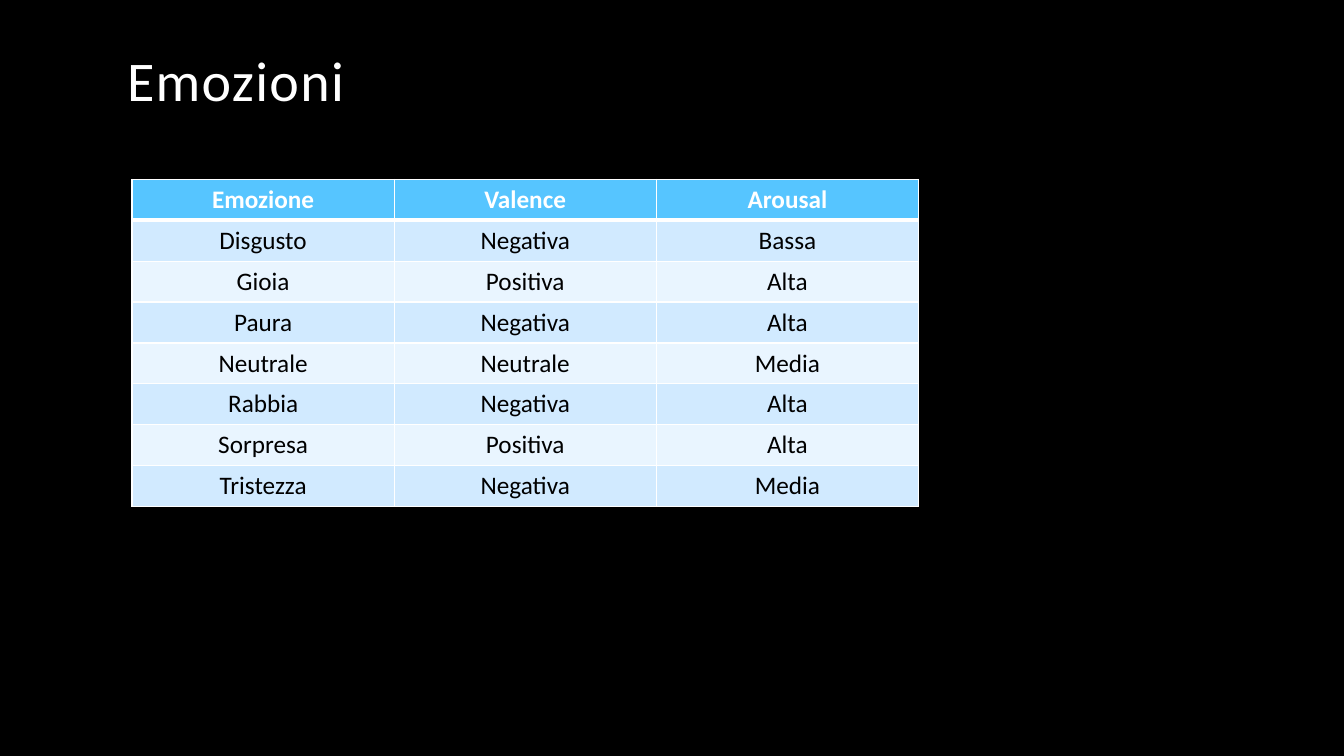
"""Build the slide that classifies emotions by valence and arousal."""
from dataclasses import dataclass

from lxml.etree import SubElement
from pptx import Presentation
from pptx.dml.color import RGBColor
from pptx.enum.text import MSO_ANCHOR as Anchor, PP_ALIGN as Align
from pptx.oxml.ns import qn
from pptx.util import Inches, Pt

TITLE = "Emozioni"
EMOTIONS = [
    ("Emozione", "Valence", "Arousal"),
    ("Disgusto", "Negativa", "Bassa"),
    ("Gioia", "Positiva", "Alta"),
    ("Paura", "Negativa", "Alta"),
    ("Neutrale", "Neutrale", "Media"),
    ("Rabbia", "Negativa", "Alta"),
    ("Sorpresa", "Positiva", "Alta"),
    ("Tristezza", "Negativa", "Media"),
]


@dataclass(frozen=True)
class Theme:
    font: str = "Calibri"
    background: str = "000000"
    light: str = "FFFFFF"
    dark: str = "000000"
    header: str = "56C5FF"
    bands: tuple = ("E9F5FF", "D1EAFF")
    title_size: int = 40
    cell_size: int = 18
    thin: int = 1
    thick: int = 3


THEME = Theme()


def write(frame, text, *, size, color, bold=False, align=Align.LEFT,
          anchor=Anchor.MIDDLE, line_spacing=None, tracking=None):
    frame.word_wrap = True
    frame.vertical_anchor = anchor
    paragraph = frame.paragraphs[0]
    paragraph.alignment = align
    paragraph.line_spacing = line_spacing
    run = paragraph.add_run()
    run.text = text
    run.font.name = THEME.font
    run.font.size = Pt(size)
    run.font.bold = bold
    run.font.color.rgb = RGBColor.from_string(color)
    if tracking:
        run.font._element.set("spc", str(tracking * 100))


def add_borders(cell, **widths):
    properties = cell._tc.get_or_add_tcPr()
    for side in "LRTB":
        width = widths.get(side, THEME.thin)
        border = SubElement(properties, qn(f"a:ln{side}"), w=str(Pt(width)))
        fill = SubElement(border, qn("a:solidFill"))
        SubElement(fill, qn("a:srgbClr"), val=THEME.light)


def add_title(slide):
    title = slide.shapes.title
    title.left, title.top = Inches(1.16), Inches(0.29)
    title.width, title.height = Inches(9), Inches(0.87)
    write(title.text_frame, TITLE, size=THEME.title_size, color=THEME.light,
          anchor=Anchor.BOTTOM, line_spacing=0.8, tracking=1)


def add_emotions(slide):
    row_count, column_count = len(EMOTIONS), len(EMOTIONS[0])
    table = slide.shapes.add_table(
        row_count, column_count, Inches(1.31), Inches(1.78),
        Inches(7.8), Inches(3.24)).table
    for row, values in enumerate(EMOTIONS):
        is_header = row == 0
        fill = THEME.header if is_header else THEME.bands[row % 2]
        rule = {0: {"B": THEME.thick}, 1: {"T": THEME.thick}}.get(row, {})
        for column, value in enumerate(values):
            cell = table.cell(row, column)
            add_borders(cell, **rule)
            cell.fill.solid()
            cell.fill.fore_color.rgb = RGBColor.from_string(fill)
            cell.vertical_anchor = Anchor.MIDDLE
            write(cell.text_frame, value, size=THEME.cell_size,
                  color=THEME.light if is_header else THEME.dark,
                  bold=is_header, align=Align.CENTER)


def main():
    deck = Presentation()
    deck.slide_width, deck.slide_height = Inches(13.33), Inches(7.5)
    slide = deck.slides.add_slide(deck.slide_layouts[5])
    slide.background.fill.solid()
    slide.background.fill.fore_color.rgb = RGBColor.from_string(THEME.background)
    add_title(slide)
    add_emotions(slide)
    deck.save("out.pptx")


if __name__ == "__main__":
    main()
